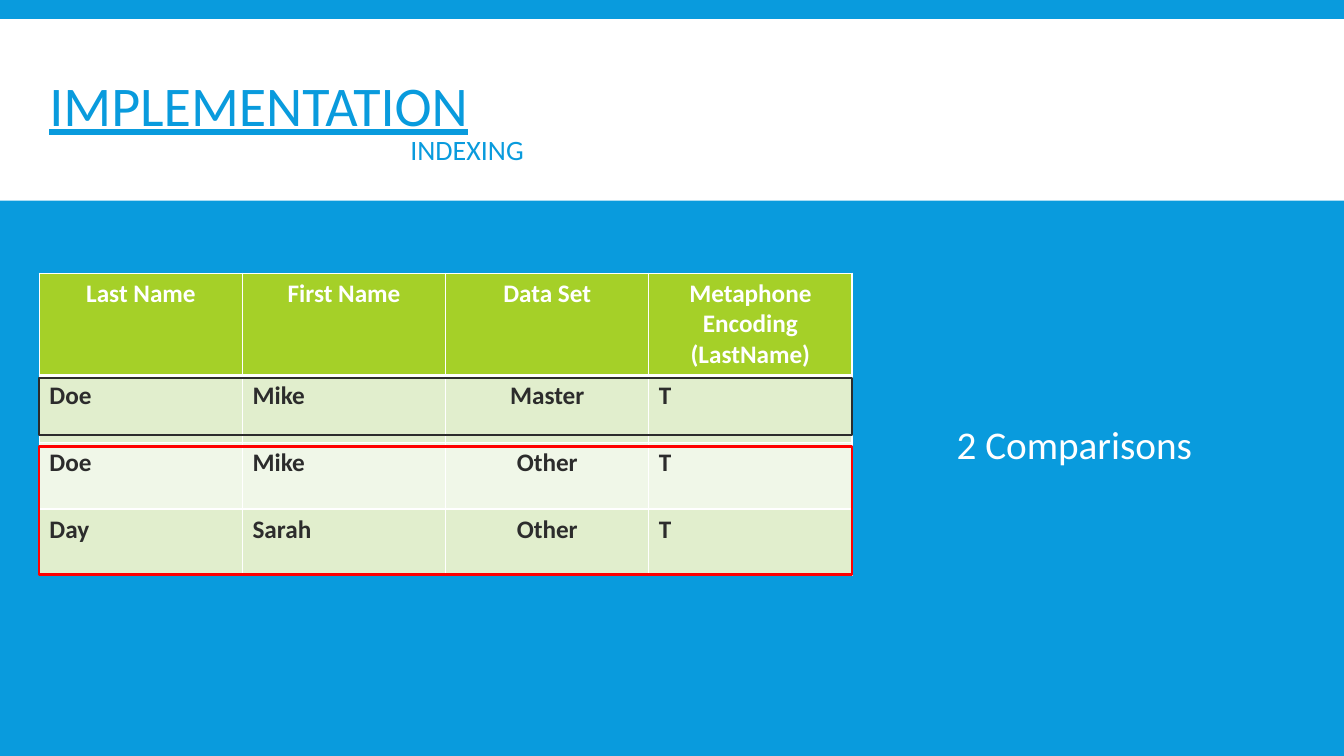
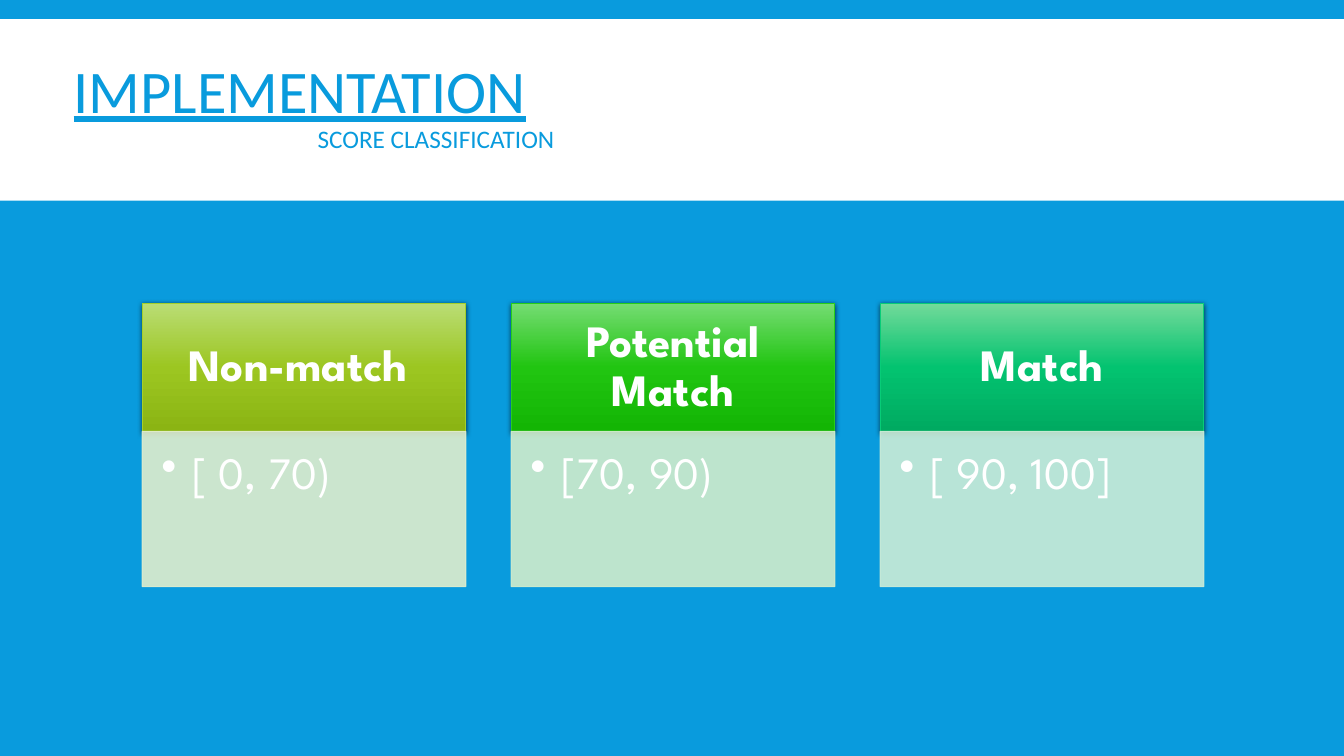
from copy import deepcopy

from pptx import Presentation
from pptx.dml.color import RGBColor
from pptx.enum.shapes import MSO_SHAPE
from pptx.enum.text import MSO_ANCHOR, MSO_AUTO_SIZE, PP_ALIGN
from pptx.oxml import parse_xml
from pptx.oxml.ns import nsdecls, qn
from pptx.util import Inches, Pt

BLUE = RGBColor(0x09, 0x9B, 0xDD)
WHITE = RGBColor(0xFF, 0xFF, 0xFF)
DARK = RGBColor(0x2C, 0x2C, 0x2C)
RED = RGBColor(0xFF, 0x00, 0x00)
LIME = RGBColor(0xA5, 0xD0, 0x28)
GREEN = RGBColor(0x27, 0xCF, 0x17)
TEAL = RGBColor(0x08, 0xCC, 0x78)
LIME_TINT = RGBColor(0xE1, 0xEE, 0xCD)
LIME_PALE = RGBColor(0xF0, 0xF7, 0xE8)
GREEN_TINT = RGBColor(0xD1, 0xED, 0xCC)
TEAL_TINT = RGBColor(0xCC, 0xEC, 0xD7)
LIME_GRAD = (RGBColor(0xBA, 0xDD, 0x75), RGBColor(0x9C, 0xC6, 0x21), RGBColor(0x8B, 0xB4, 0x13))
GREEN_GRAD = (RGBColor(0x75, 0xDC, 0x73), RGBColor(0x21, 0xC5, 0x11), RGBColor(0x13, 0xB5, 0x04))
TEAL_GRAD = (RGBColor(0x72, 0xDA, 0x9A), RGBColor(0x03, 0xC3, 0x70), RGBColor(0x00, 0xAA, 0x61))

BODY_FONT = "Calibri"
CARD_FONT = "League Spartan"


def put(p, text, size=18, color=WHITE, font=BODY_FONT, bold=False, underline=False,
        align=PP_ALIGN.LEFT, spacing=None, indent=0, bullet=None):
    """Write one formatted paragraph; indent is in inches."""
    p.alignment = align
    if spacing:
        p.line_spacing = spacing
    pPr = p._p.get_or_add_pPr()
    if indent:
        pPr.set("marL", str(Inches(indent)))
        pPr.set("indent", str(-Inches(indent) if bullet else 0))
    if bullet:
        pPr.append(parse_xml(f'<a:buChar {nsdecls("a")} char="{bullet}"/>'))
    r = p.add_run()
    r.text = text
    r.font.size, r.font.name, r.font.bold = Pt(size), font, bold
    r.font.underline = underline
    r.font.color.rgb = color


class Deck:
    """Shared style, current slide and one method per kind of element."""

    def __init__(self):
        """Set the page size and the background."""
        self.prs = Presentation()
        self.prs.slide_width, self.prs.slide_height = Inches(13.33), Inches(7.5)
        fill = self.prs.slide_master.background.fill
        fill.solid()
        fill.fore_color.rgb = BLUE

    def slide(self):
        """Start a slide; the first one also gives the master its title band."""
        self.s = self.prs.slides.add_slide(self.prs.slide_layouts[5])
        if len(self.prs.slides) == 1:
            band = self.rect(0, 0.19, 13.33, 1.8, fill=WHITE).element
            band.nvSpPr.cNvPr.set("id", "20")
            self.prs.slide_master.shapes.element.insert(2, band)

    def title(self, heading, sub, at, size, sub_size, indent, spacing):
        """Fill the title placeholder with a heading and an indented subheading."""
        sp = self.s.shapes.title
        sp.left, sp.top, sp.width, sp.height = map(Inches, at)
        tf = sp.text_frame
        tf.word_wrap, tf.auto_size = True, MSO_AUTO_SIZE.NONE
        tf.vertical_anchor = MSO_ANCHOR.MIDDLE
        put(tf.paragraphs[0], heading, size, BLUE, underline=True, spacing=spacing)
        put(tf.add_paragraph(), sub, sub_size, BLUE, spacing=spacing, indent=indent)

    def rect(self, x, y, w, h, fill=None, line=None, weight=0.75):
        """Draw a rectangle without a shadow."""
        sp = self.s.shapes.add_shape(MSO_SHAPE.RECTANGLE, *map(Inches, (x, y, w, h)))
        sp.shadow.inherit = False
        if fill is None:
            sp.fill.background()
        else:
            sp.fill.solid()
            sp.fill.fore_color.rgb = fill
        if line is None:
            sp.line.fill.background()
        else:
            sp.line.color.rgb, sp.line.width = line, Pt(weight)
        return sp

    def text(self, x, y, w, h, text, **fmt):
        """Add a wrapped text box."""
        tf = self.s.shapes.add_textbox(*map(Inches, (x, y, w, h))).text_frame
        tf.word_wrap = True
        put(tf.paragraphs[0], text, **fmt)

    def table(self, x, y, w, heights, rows, centred):
        """Add a table with a header row, banded rows and white borders."""
        t = self.s.shapes.add_table(len(rows), len(rows[0]), *map(Inches, (x, y, w, sum(heights)))).table
        for i, (height, row) in enumerate(zip(heights, rows)):
            t.rows[i].height = Inches(height)
            for j, text in enumerate(row):
                cell = t.cell(i, j)
                self.borders(cell, top=3 if i == 1 else 1, bottom=3 if i == 0 else 1)
                cell.fill.solid()
                cell.fill.fore_color.rgb = LIME if i == 0 else (LIME_PALE, LIME_TINT)[i % 2]
                tf = cell.text_frame
                for k, part in enumerate(text.split("\n")):
                    put(tf.add_paragraph() if k else tf.paragraphs[0], part, bold=True,
                        color=DARK if i else WHITE,
                        align=PP_ALIGN.CENTER if i == 0 or j == centred else PP_ALIGN.LEFT)

    def borders(self, cell, top, bottom):
        """Give a cell white borders; widths are in points."""
        tcPr = cell._tc.get_or_add_tcPr()
        for side, width in (("L", 1), ("R", 1), ("T", top), ("B", bottom)):
            tcPr.append(parse_xml(
                f'<a:ln{side} {nsdecls("a")} w="{Pt(width)}"><a:solidFill>'
                f'<a:srgbClr val="{WHITE}"/></a:solidFill></a:ln{side}>'))

    def gradient(self, sp, colors):
        """Fill a shape from top to bottom with three evenly spaced colours."""
        sp.fill.gradient()
        sp.fill.gradient_angle = 270
        stops = sp.element.spPr.find(".//" + qn("a:gsLst"))
        stops.append(deepcopy(stops[-1]))
        for i, (stop, color) in enumerate(zip(sp.fill.gradient_stops, colors)):
            stop.position, stop.color.rgb = i / 2, color

    def shadow(self, sp):
        """Add a soft shadow below a shape."""
        sp.element.spPr.find(qn("a:effectLst")).append(parse_xml(
            f'<a:outerShdw {nsdecls("a")} blurRad="{Pt(4)}" dist="{Pt(1.2)}" dir="5400000" rotWithShape="0">'
            '<a:srgbClr val="000000"><a:alpha val="68000"/></a:srgbClr></a:outerShdw>'))

    def fade(self, sp, percent):
        """Make the fill and line of a shape partly transparent."""
        for clr in sp.element.spPr.iter(qn("a:srgbClr")):
            clr.append(parse_xml(f'<a:alpha {nsdecls("a")} val="{percent * 1000}"/>'))

    def label(self, sp, text, insets, anchor, **fmt):
        """Write card text inside a shape."""
        tf = sp.text_frame
        tf.word_wrap, tf.vertical_anchor = True, anchor
        tf.margin_left, tf.margin_top, tf.margin_right, tf.margin_bottom = map(Inches, insets)
        put(tf.paragraphs[0], text, size=32, font=CARD_FONT, spacing=0.9, **fmt)

    def card(self, x, y, w, name, score, line, grad, tint):
        """Draw a score class: gradient header over a pale body."""
        head_h, body_h = 1.27, 1.54
        head = self.rect(x, y, w, head_h, line=line)
        self.gradient(head, grad)
        self.shadow(head)
        self.label(head, name, (0.25, 0.14, 0.25, 0.14), MSO_ANCHOR.MIDDLE,
                   bold=True, align=PP_ALIGN.CENTER)
        body = self.rect(x, y + head_h, w, body_h, fill=tint, line=tint)
        self.fade(body, 90)
        self.label(body, score, (0.19, 0.19, 0.25, 0.28), MSO_ANCHOR.TOP, indent=0.31, bullet="•")


def indexing(deck):
    """Build the slide on indexing."""
    deck.slide()
    deck.title("IMPLEMENTATION", "INDEXING", (0.39, 0.5, 5.96, 1.45), 40, 20, 3.58, 0.85)
    x, w = 0.39, 8.06
    deck.table(x, 2.71, w, (1.02, 0.66, 0.66, 0.66), (
        ("Last Name", "First Name", "Data Set", "Metaphone Encoding\n(LastName)"),
        ("Doe", "Mike", "Master", "T"),
        ("Doe", "Mike", "Other", "T"),
        ("Day", "Sarah", "Other", "T"),
    ), centred=2)
    deck.rect(x, 3.75, w, 0.57, line=DARK, weight=1.5)
    deck.rect(x, 4.43, w, 1.27, line=RED, weight=1.5)
    deck.text(9.09, 4.12, 3.13, 0.57, "2 Comparisons", size=28, align=PP_ALIGN.CENTER)


def score_classification(deck):
    """Build the slide on score classes."""
    deck.slide()
    deck.title("IMPLEMENTATION", "SCORE CLASSIFICATION", (0.63, 0.51, 9.58, 1.11), 43.2, 18, 2.42, 0.9)
    cards = (
        ("Non-match ", "[ 0, 70)", LIME, LIME_GRAD, LIME_TINT),
        ("Potential Match", "[70, 90)", GREEN, GREEN_GRAD, GREEN_TINT),
        ("Match", "[ 90, 100]", TEAL, TEAL_GRAD, TEAL_TINT),
    )
    for i, card in enumerate(cards):
        deck.card(1.41 + i * 3.66, 3.01, 3.21, *card)


def main():
    """Build and save the presentation."""
    deck = Deck()
    indexing(deck)
    score_classification(deck)
    deck.prs.save("out.pptx")


if __name__ == "__main__":
    main()
